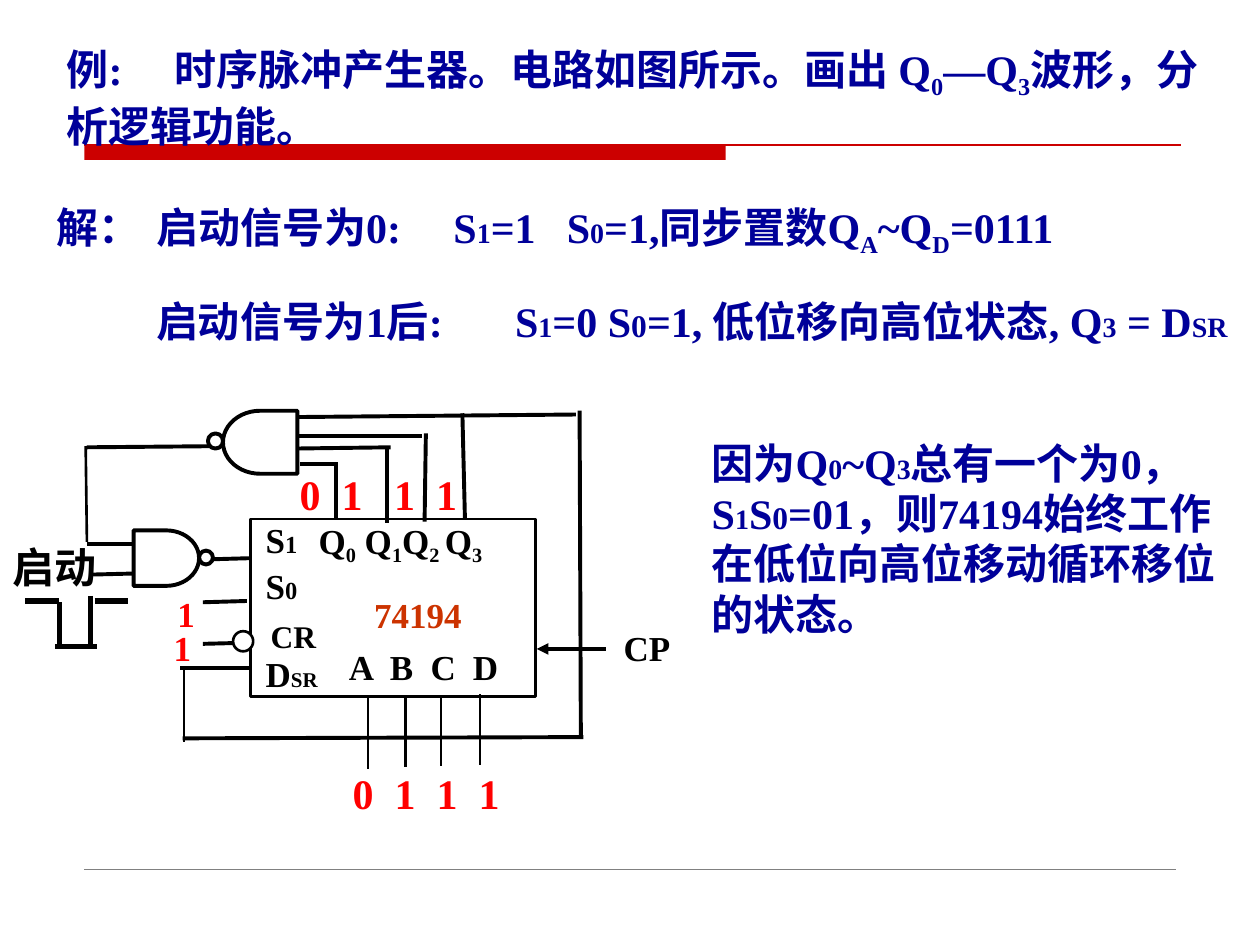
from dataclasses import dataclass

from lxml.etree import SubElement
from pptx import Presentation
from pptx.dml.color import RGBColor
from pptx.enum.shapes import MSO_CONNECTOR as Link, MSO_SHAPE as Preset
from pptx.enum.text import MSO_ANCHOR as Anchor
from pptx.oxml.ns import qn
from pptx.util import Inches, Pt


@dataclass(frozen=True)
class Theme:
    font: str = "Times New Roman"
    navy: str = "000099"
    black: str = "000000"
    white: str = "FFFFFF"
    value: str = "FF0000"
    chip: str = "CC3300"
    accent: str = "CC0000"
    footer: str = "808080"
    body: int = 24
    label: int = 20
    pin: int = 18
    small: int = 16
    index: int = 14
    tiny: int = 12
    thin: float = 1.5
    wire: float = 2.25
    pulse: float = 3


T = Theme()
SUB = "subscript"
CELL = 0.1  # inches: the slide is a grid of 100 columns by 75 rows


def rgb(value):
    return RGBColor.from_string(value)


@dataclass
class Region:
    """Draws parts at columns and rows counted from the region's top left cell."""
    shapes: object
    col: float
    row: float

    def x(self, col):
        return Inches(round((self.col + col) * CELL, 3))

    def y(self, row):
        return Inches(round((self.row + row) * CELL, 3))

    def frame(self, col, row, cols, rows):
        return self.x(col), self.y(row), Inches(cols * CELL), Inches(rows * CELL)

    def line(self, start, end, width=T.wire, color=T.black, arrow_at_start=False):
        wire = self.shapes.add_connector(
            Link.STRAIGHT, self.x(start[0]), self.y(start[1]), self.x(end[0]), self.y(end[1]))
        wire.line.color.rgb = rgb(color)
        wire.line.width = Pt(width)
        if arrow_at_start:
            SubElement(wire.line._get_or_add_ln(), qn("a:headEnd"), type="triangle")
        SubElement(wire._element.spPr, qn("a:effectLst"))

    def shape(self, preset, frame, fill=T.white, outline=T.black, width=T.wire):
        part = self.shapes.add_shape(preset, *self.frame(*frame))
        part.shadow.inherit = False
        if fill:
            part.fill.solid()
            part.fill.fore_color.rgb = rgb(fill)
        else:
            part.fill.background()
        if outline:
            part.line.color.rgb = rgb(outline)
            part.line.width = Pt(width)
        else:
            part.line.fill.background()
        return part

    def text(self, frame, *lines, size=T.label, color=T.black, stops=(),
             anchor=Anchor.TOP, spacing=None):
        """Each line is a list of strings, or of (string, SUB or point size)."""
        box = self.shapes.add_textbox(*self.frame(*frame)).text_frame
        box.word_wrap = True
        box.vertical_anchor = anchor
        for number, runs in enumerate(lines):
            para = box.add_paragraph() if number else box.paragraphs[0]
            if spacing:
                para.line_spacing = spacing
            if number:
                para.space_before = Pt(8.8)
            if stops:
                tabs = SubElement(para._p.get_or_add_pPr(), qn("a:tabLst"))
                for stop in stops:
                    SubElement(tabs, qn("a:tab"), pos=str(Inches(stop * CELL)), algn="l")
            para.font.name = T.font
            para.font.size = Pt(size)
            para.font.bold = True
            para.font.color.rgb = rgb(color)
            for piece in runs:
                words, style = (piece, None) if isinstance(piece, str) else piece
                run = para.add_run()
                run.text = words
                if style == SUB:
                    run._r.get_or_add_rPr().set("baseline", "-25000")
                elif style:
                    run.font.size = Pt(style)


def draw_rules(area):
    area.shape(Preset.RECTANGLE, (0, 0, 50.9, 1.2), T.accent, None)
    area.line((0, 0), (87, 0), 0.75, T.accent)
    area.line((0, 57.5), (86.6, 57.5), 0.25, T.footer)


def draw_question(area):
    area.text((0, 0, 93.9, 10.2),
              ["例:\t时序脉冲产生器。电路如图所示。画出 Q", ("0", SUB), "—Q", ("3", SUB),
               "波形，分析逻辑功能。"],
              size=T.body, color=T.navy, stops=[8.6], anchor=Anchor.MIDDLE)


def draw_solution(area):
    style = dict(size=T.body, color=T.navy)
    area.text((0, 0, 10.2, 5), ["解："], **style)
    area.text((7.9, 0, 83.2, 5.6),
              ["启动信号为0:\tS", ("1", T.small), "=1\tS", ("0", T.small), "=1,同步置数Q",
               ("A", SUB), "~Q", ("D", SUB), "=0111"], stops=[23.6, 32.6], **style)
    area.text((7.9, 7.5, 91, 5),
              ["启动信号为1后:\tS", ("1", T.small), "=0 S", ("0", T.pin),
               "=1, 低位移向高位状态, Q", ("3", T.small), " = D", ("SR", T.small)],
              stops=[28.5], **style)


def draw_conclusion(area):
    area.text((0, 0, 44.5, 17),
              ["因为Q", ("0", T.small), "~Q", ("3", T.small), "总有一个为0，S", ("1", T.small),
               "S", ("0", T.pin), "=01，则74194始终工作在低位向高位移动循环移位的状态。"],
              size=T.body, color=T.navy)


def draw_wires(area):
    # start gate inputs and output, then its feedback from the upper gate
    area.line((7.4, 16.2), (11.3, 16.1))
    area.line((6.9, 13.8), (11.2, 13.8))
    area.line((16.4, 15), (19.9, 14.9))
    area.line((6.9, 6.1), (18.5, 6))
    area.line((6.8, 6), (6.9, 13.6), T.thin)
    # each output Q: its run into the upper gate and its drop to the chip
    for run_start, run_end, drop_start, drop_end in (
            ((23.8, 7.4), (26.8, 7.4), (26.7, 7.3), (26.7, 11.7)),
            ((23.4, 6.2), (31, 6.1), (30.7, 6.1), (30.7, 12.1)),
            ((23.6, 5.2), (33.5, 5.2), (33.8, 5), (33.7, 12)),
            ((23.6, 3.7), (45.7, 3.5), (36.7, 3.4), (36.9, 11.7))):
        area.line(run_start, run_end)
        area.line(drop_start, drop_end)
    # loop from Q3 round to the serial input
    area.line((46, 3.2), (46.1, 29))
    area.line((46.3, 29.1), (14.5, 29.2))
    area.line((14.6, 23.7), (14.6, 29.5), T.thin)
    area.line((14.3, 23.6), (19.8, 23.6))
    # S0, clear and clock
    area.line((16.1, 18.4), (19.6, 18.3))
    area.line((16.1, 21.7), (20, 21.6))
    area.line((42.6, 22.1), (48.1, 22.1), arrow_at_start=True)
    for index, col in enumerate((29.2, 32.2, 35, 38.1)):
        top = 26 - index * 0.1
        area.line((col, top), (col, top + 5.6), T.thin)


def draw_start_pulse(area):
    for start, end in (((0, 0.4), (2.7, 0.4)), ((5.5, 0.4), (8.2, 0.4)),
                       ((5.2, 0), (5.2, 4)), ((2.4, 4), (5.7, 4)), ((2.7, 0.5), (2.7, 4))):
        area.line(start, end, T.pulse)


def draw_gates(area):
    area.shape(Preset.OVAL, (18.5, 20.7, 1.6, 1.6), width=T.thin)
    area.shape(Preset.OVAL, (16.5, 5, 1.2, 1.2))
    area.shape(Preset.FLOWCHART_DELAY, (17.7, 3.2, 5.9, 5)).rotation = 180
    area.shape(Preset.OVAL, (15.8, 14.3, 1.1, 1.1))
    area.shape(Preset.FLOWCHART_DELAY, (10.6, 12.7, 5.2, 4.4))


def draw_labels(area):
    values = dict(size=T.body, color=T.value)
    area.text((0, 13.1, 9.4, 5), ["启动"], size=T.body)
    area.text((22.8, 7.3, 16, 5), ["0\t1\t1\t1"], stops=[3.33, 7.5, 10.83], **values)
    area.text((27, 31, 15, 5), ["0\t1\t1\t1"], stops=[3.33, 6.67, 10], **values)
    area.text((12.8, 19.8, 3.2, 4.4), ["1"], color=T.value)
    area.text((13.1, 17.1, 3.2, 4.4), ["1"], color=T.value)
    area.text((48.5, 19.8, 6.8, 4.4), ["CP"])
    area.text((24.3, 11.3, 18.4, 4.8),
              ["Q", ("0", SUB), " Q", ("1", SUB), "Q", ("2 ", SUB), "Q", ("3", SUB)])
    area.text((20.1, 12, 7.9, 10.2), ["S", ("1", T.index)], ["S", ("0", T.index)], spacing=0.75)
    area.text((20.1, 21.9, 8.9, 4.4), ["D", ("SR", T.tiny)])
    area.text((28.7, 17.2, 11.9, 4.4), ["74194"], color=T.chip)
    area.text((26.7, 21.3, 16.6, 4.4), ["A\tB\tC\tD"], stops=[3.25, 6.5, 9.85])
    area.text((20.5, 19.1, 7, 4), ["CR"], size=T.pin)


def draw_circuit(area):
    area.shape(Preset.RECTANGLE, (19.9, 11.8, 22.6, 14.1), None, width=T.thin)
    draw_wires(area)
    draw_start_pulse(Region(area.shapes, area.col + 2, area.row + 17.9))
    draw_gates(area)
    draw_labels(area)


def main():
    deck = Presentation()
    deck.slide_width, deck.slide_height = Inches(100 * CELL), Inches(75 * CELL)
    shapes = deck.slides.add_slide(deck.slide_layouts[6]).shapes
    draw_rules(Region(shapes, 6.7, 11.5))
    draw_question(Region(shapes, 4.3, 2.6))
    draw_solution(Region(shapes, 3.5, 15.5))
    draw_conclusion(Region(shapes, 55.5, 34.2))
    draw_circuit(Region(shapes.add_group_shape().shapes, 0, 29.4))
    deck.save("out.pptx")


if __name__ == "__main__":
    main()
